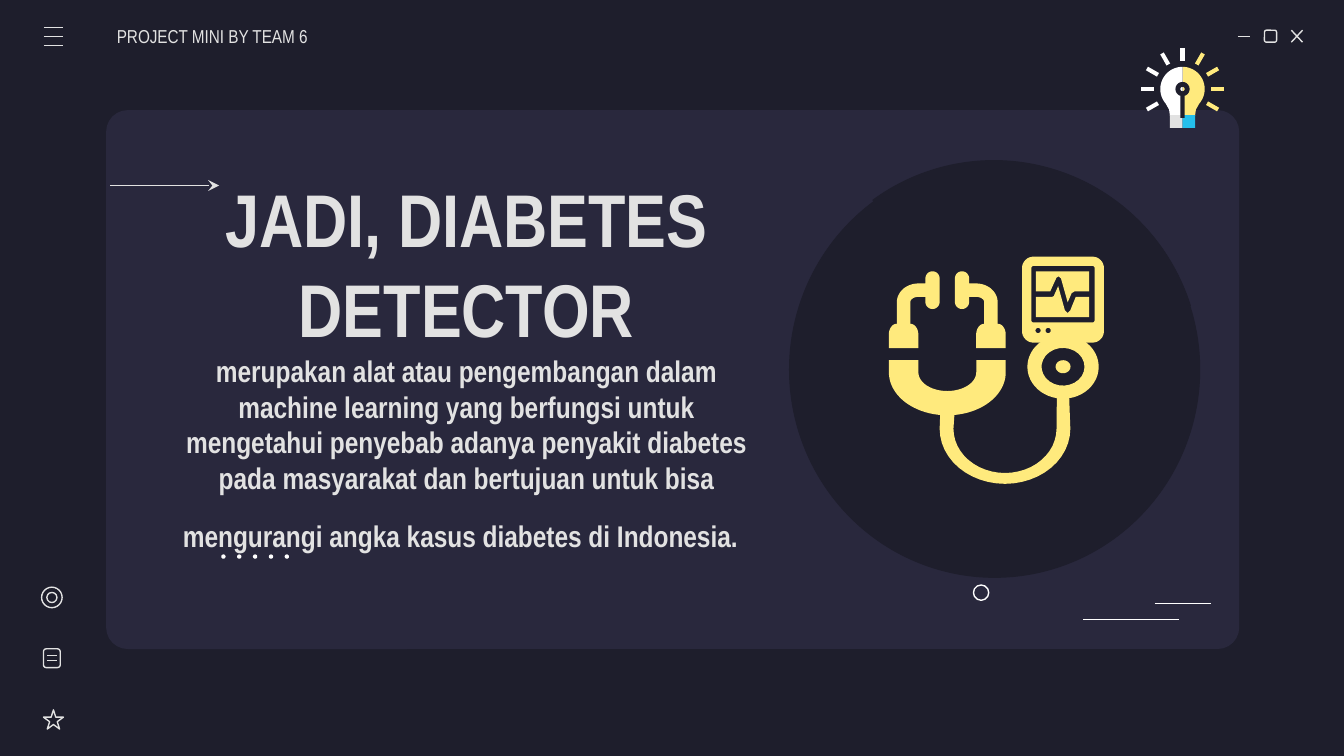
from collections import namedtuple
from math import cos, radians, sin

from lxml.etree import SubElement
from pptx import Presentation
from pptx.dml.color import RGBColor
from pptx.enum.shapes import MSO_CONNECTOR, MSO_SHAPE as Shape
from pptx.enum.text import MSO_ANCHOR as Anchor, MSO_AUTO_SIZE as AutoSize, PP_ALIGN as Align
from pptx.oxml.ns import qn
from pptx.util import Pt

COLORS = {"night": "1E1E2C", "card": "29283D", "light": "E2E2E2",
          "white": "FFFFFF", "yellow": "FFEA7D", "blue": "24BFEB"}
FONT = "Arial Narrow"
Box = namedtuple("Box", "left top width height")


def color(name):
    return RGBColor.from_string(COLORS[name])


def paint(shape, fill=None, line=None):
    shape.shadow.inherit = False
    if fill:
        shape.fill.solid()
        shape.fill.fore_color.rgb = color(fill)
    else:
        shape.fill.background()
    if line:
        shape.line.color.rgb = color(line)
        shape.line.width = Pt(0.75)
    else:
        shape.line.fill.background()


def add_preset(page, kind, box, fill=None, line=None):
    shape = page.shapes.add_shape(kind, *(Pt(length) for length in box))
    paint(shape, fill, line)
    return shape


def add_line(page, x1, y1, x2, y2, tint="light", arrow=False):
    line = page.shapes.add_connector(MSO_CONNECTOR.STRAIGHT, Pt(x1), Pt(y1), Pt(x2), Pt(y2))
    line.line.color.rgb = color(tint)
    line.line.width = Pt(0.75)
    if arrow:
        SubElement(line.line._get_or_add_ln(), qn("a:tailEnd"), type="stealth")
    SubElement(line.element.spPr, qn("a:effectLst"))


def add_outline(page, box, loops, fill):
    """Closed loops of points relative to the box; inner loops are holes."""
    placed = [[(Pt(box.left + x), Pt(box.top + y)) for x, y in loop] for loop in loops]
    builder = page.shapes.build_freeform(*placed[0][0])
    for number, loop in enumerate(placed):
        if number:
            builder.move_to(*loop[0])
        builder.add_line_segments(loop[1:], close=True)
    paint(builder.convert_to_shape(), fill)


def arc(x, y, rx, ry, start, end, steps=24):
    angles = [radians(start + (end - start) * i / steps) for i in range(steps + 1)]
    return [(x + rx * cos(angle), y + ry * sin(angle)) for angle in angles]


def rounded(left, top, width, height, r):
    right, bottom = left + width - r, top + height - r
    corners = [(right, bottom), (left + r, bottom), (left + r, top + r), (right, top + r)]
    return [point for i, (x, y) in enumerate(corners)
            for point in arc(x, y, r, r, 90 * i, 90 * i + 90, 8)]


def style(span, size, bold=False):
    span.font.name = FONT
    span.font.size = Pt(size)
    span.font.bold = bold
    span.font.color.rgb = color("light")


def place(shape, box):
    shape.left, shape.top, shape.width, shape.height = (Pt(length) for length in box)


def build_header(page, box):
    # Menu bars
    for row in range(3):
        y = box.top + 4.8 * row
        add_line(page, box.left, y, box.left + 10.5, y)
    # Team name
    label = page.shapes.add_textbox(Pt(62.6), Pt(8.6), Pt(128.2), Pt(21.6))
    frame = label.text_frame
    frame.word_wrap = True
    frame.vertical_anchor = Anchor.MIDDLE
    frame.margin_left = 0
    frame.text = "PROJECT MINI BY TEAM 6"
    style(frame.paragraphs[0].runs[0], 10)
    # Window buttons
    right, y = box.left + box.width, box.top + 4.6
    add_line(page, right - 34.6, y, right - 28, y)
    add_preset(page, Shape.ROUNDED_RECTANGLE, Box(right - 20.4, y - 3.2, 6.5, 6.4), line="light")
    for start, end in ((-3.2, 3.2), (3.2, -3.2)):
        add_line(page, right - 6, y + start, right, y + end)


def build_rail(page, box):
    left, top = box.left, box.top
    add_preset(page, Shape.OVAL, Box(left, top, 11, 11), line="light")
    add_preset(page, Shape.OVAL, Box(left + 2.8, top + 2.8, 5.4, 5.4), line="light")
    add_preset(page, Shape.ROUNDED_RECTANGLE, Box(left + 1, top + 33, 9, 10.1), line="light")
    for y in (top + 36.7, top + 39.3):
        add_line(page, left + 2.8, y, left + 8.2, y)
    add_preset(page, Shape.STAR_5_POINT, Box(left + 1, top + 65.7, 10.7, 10.3), line="light")


def build_title(page, box):
    title = page.shapes.title
    place(title, box)
    frame = title.text_frame
    frame.word_wrap = True
    frame.auto_size = AutoSize.NONE
    frame.vertical_anchor = Anchor.MIDDLE
    frame.margin_left = frame.margin_right = frame.margin_top = Pt(7.2)
    frame.margin_bottom = Pt(49.5)
    frame.text = "JADI, DIABETES DETECTOR"
    style(frame.paragraphs[0].runs[0], 40, bold=True)
    para = frame.add_paragraph()
    para.text = ("merupakan alat atau pengembangan dalam machine learning yang berfungsi "
                 "untuk mengetahui penyebab adanya penyakit diabetes pada masyarakat dan "
                 "bertujuan untuk bisa mengurangi angka kasus diabetes di Indonesia.")
    style(para.runs[0], 16, bold=True)
    # The larger closing space opens up the last line
    space = para.add_run()
    space.text = " "
    style(space, 28, bold=True)
    for para in frame.paragraphs:
        para.alignment = Align.CENTER


def build_bulb(page, box):
    x, y = box.width / 2, 21.1
    # Glass and base, one half per side
    for side, glass, base in ((1, "yellow", "blue"), (-1, "white", "light")):
        half = arc(0, 0, 11.9, 11.9, -90, 41) + [(7.2, 11), (6.7, 14.4), (0, 15.5)]
        add_outline(page, box, [[(x + side * dx, y + dy) for dx, dy in half]], glass)
        add_preset(page, Shape.RECTANGLE,
                   Box(box.left + x + min(0, 6.8 * side), box.top + y + 14, 6.8, 6.8), base)
    # Rays
    for angle in range(-210, 31, 30):
        c, s = cos(radians(angle)), sin(radians(angle))
        ends = [(15.2, -1.1), (22, -1.1), (22, 1.1), (15.2, 1.1)]
        ray = [(x + r * c - w * s, y + r * s + w * c) for r, w in ends]
        add_outline(page, box, [ray], "yellow" if angle > -90 else "white")
    # Filament
    filament = arc(x, y, 3.8, 3.8, 108, 432) + [(x + 1.2, y + 15.5), (x - 1.2, y + 15.5)]
    add_outline(page, box, [filament, arc(x, y, 1.2, 1.2, 0, 345)], "night")


def build_disc(page, box):
    add_preset(page, Shape.OVAL, Box(box.left + 1.2, box.top + 0.7, 220.3, 223.2), "night")
    slice_ = add_preset(page, Shape.PIE, box, "night")
    slice_.rotation = 180
    # Angles are stored in 60000ths of a degree, adjustments in 100000ths
    slice_.adjustments[0], slice_.adjustments[1] = 54.39 * 0.6, 162 * 0.6


def build_stethoscope(page, box):
    # Earpieces, mirrored about the yoke's axis
    axis = 31.3
    earpiece = (arc(7.9, 11.7, 3.8, 3.8, 180, 360) + [(11.7, 14.4)]
                + arc(15.5, 24.5, 11.5, 10.1, -90, 0) + [(27, 36)]
                + arc(27, 41.8, 4.3, 5.8, -90, 0) + [(31.3, 49), (15.5, 49)]
                + arc(19.8, 41.8, 4.3, 5.8, 180, 270) + [(19.8, 36)]
                + arc(15.5, 24.5, 4.3, 2.9, 0, -90) + [(11.7, 21.6)]
                + arc(7.9, 24.3, 3.8, 3.8, 0, 180))
    for side in (1, -1):
        add_outline(page, box, [[(axis + side * dx, y) for dx, y in earpiece]], "yellow")
    # Yoke, hose and chest piece
    hose = (arc(62.2, 92.2, 35, 29.5, 0, 180)
            + arc(axis, 62, 31.3, 23, 97, 180) + [(0, 55.4), (15.8, 55.4)]
            + arc(axis, 62, 15.5, 10, 180, 0) + [(46.8, 55.4), (62.6, 55.4)]
            + arc(axis, 62, 31.3, 23, 0, 83)
            + arc(62.2, 92.2, 27.6, 23.7, 180, 0)
            + arc(93.3, 59, 19.1, 17.1, 100, 440, 48))
    add_outline(page, box, [hose, arc(93.3, 59, 11.5, 10.1, 0, 345)], "yellow")
    add_outline(page, box, [arc(93.3, 59, 4, 3.5, 0, 345)], "yellow")
    # Monitor with its screen and pulse line
    lights = [arc(x, 39.6, 1.4, 1.4, 0, 345) for x in (79.9, 85.3)]
    add_outline(page, box, [rounded(71.3, 0, 43.9, 46.1, 6.2),
                            rounded(76.3, 5, 33.9, 30.3, 1.2)] + lights, "yellow")
    upper = [(78.8, 7.9), (78.8, 18.7), (86.4, 18.7), (89.8, 11.3), (91, 10.6), (92.2, 11.7),
             (95.8, 24.5), (97.9, 19.6), (99.4, 18.7), (107.3, 18.7), (107.3, 7.9)]
    lower = [(90.7, 15.8), (88.3, 21.2), (87.4, 21.6), (78.8, 21.6), (78.8, 32.4), (107.3, 32.4),
             (107.3, 21.6), (100.1, 21.6), (97.2, 28.8), (95.8, 30.2), (94.3, 28.8)]
    for part in (lower, upper):
        add_outline(page, box, [part], "yellow")


def build_accents(page, box):
    left, top = box.left, box.top
    add_line(page, left + 2.2, top + 40.4, left + 60.5, top + 40.4, arrow=True)
    add_preset(page, Shape.OVAL, Box(left + 464.6, top + 254.4, 8.2, 8.2), line="white")
    for start, end, y in ((523.4, 574.6, 273), (561.6, 592, 264.4)):
        add_line(page, left + start, top + y, left + end, top + y, "white")
    for dot in range(5):
        spot = Box(left + 62 + 8.5 * dot, top + 238.4, 1.6, 1.6)
        add_preset(page, Shape.OVAL, spot, "white", "white")


def main():
    deck = Presentation()
    deck.slide_width, deck.slide_height = Pt(720), Pt(405)
    page = deck.slides.add_slide(deck.slide_layouts[5])
    page.background.fill.solid()
    page.background.fill.fore_color.rgb = color("night")

    # Card goes behind the title
    card_box = Box(56.9, 59, 607, 288.7)
    card = add_preset(page, Shape.ROUNDED_RECTANGLE, card_box, "card")
    card.adjustments[0] = 0.04
    page.shapes.title.element.addprevious(card.element)

    build_header(page, Box(23.5, 14.8, 674.3, 9.6))
    build_title(page, Box(88.6, 136.8, 322.6, 160.6))
    build_rail(page, Box(22.3, 314.6, 12, 76))
    build_bulb(page, Box(611.3, 26.6, 44.4, 42))
    build_disc(page, Box(421.5, 85.7, 221.8, 224.6))
    build_stethoscope(page, Box(476.2, 137.5, 115.2, 121.7))
    build_accents(page, card_box)
    deck.save("out.pptx")


if __name__ == "__main__":
    main()
